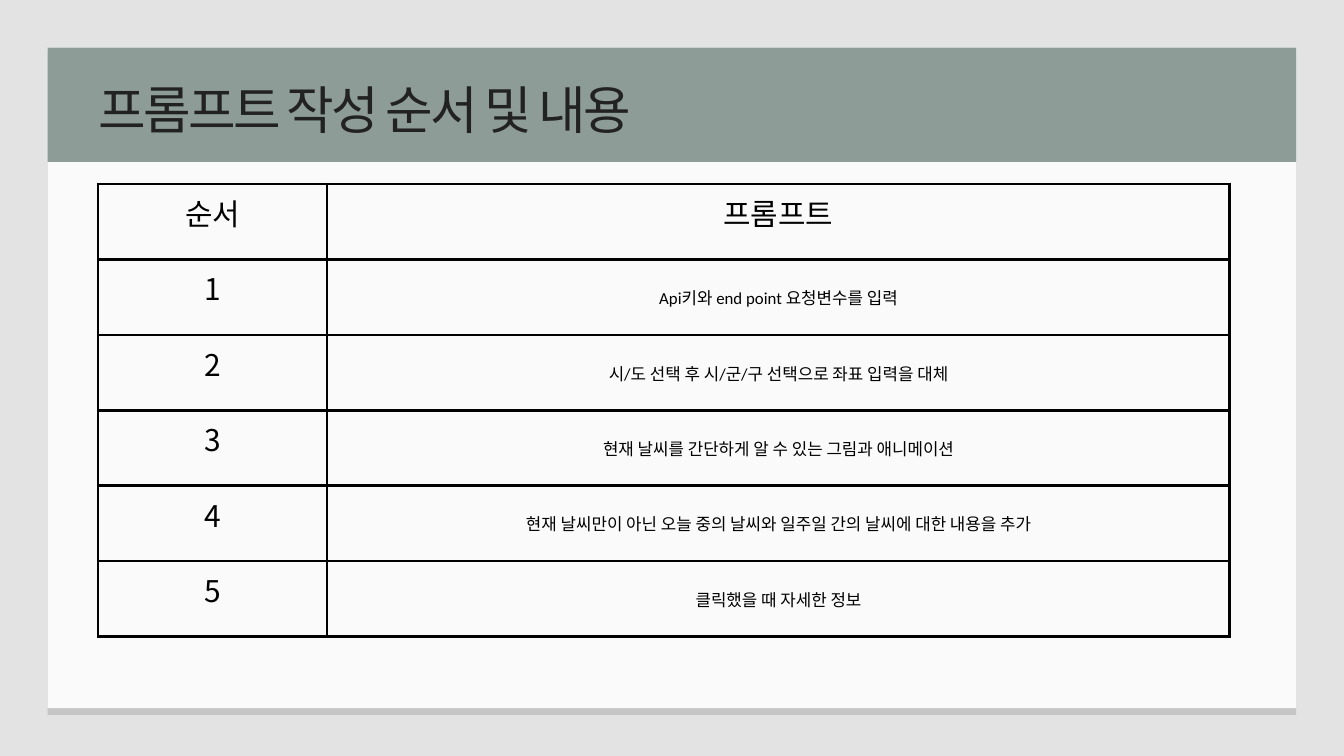
from lxml import etree
from pptx import Presentation
from pptx.dml.color import RGBColor
from pptx.enum.shapes import MSO_SHAPE as Shape
from pptx.enum.text import MSO_ANCHOR as Anchor, PP_ALIGN as Align
from pptx.oxml.ns import qn
from pptx.util import Inches, Pt

BACKDROP = RGBColor(0xE3, 0xE3, 0xE3)
EDGE = RGBColor(0xC5, 0xC5, 0xC5)
PAPER = RGBColor(0xFA, 0xFA, 0xFA)
SAGE = RGBColor(0x8D, 0x9C, 0x97)
INK = RGBColor(0x22, 0x22, 0x22)
BLACK = RGBColor(0, 0, 0)
KOREAN = "Noto Sans CJK KR"
LATIN = "Calibri"

TITLE = "프롬프트 작성 순서 및 내용"
HEADINGS = ("순서", "프롬프트")
PROMPTS = [
    ("Api키와 end point 요청변수를 입력", LATIN),
    ("시/도 선택 후 시/군/구 선택으로 좌표 입력을 대체", LATIN),
    ("현재 날씨를 간단하게 알 수 있는 그림과 애니메이션", KOREAN),
    ("현재 날씨만이 아닌 오늘 중의 날씨와 일주일 간의 날씨에 대한 내용을 추가", LATIN),
    ("클릭했을 때 자세한 정보", LATIN),
]


def add_panel(slide, left, top, width, height, color):
    """Place a plain filled rectangle."""
    shape = slide.shapes.add_shape(
        Shape.RECTANGLE, Inches(left), Inches(top), Inches(width), Inches(height))
    shape.shadow.inherit = False
    shape.fill.solid()
    shape.fill.fore_color.rgb = color
    shape.line.fill.background()


def write_text(paragraph, text, size, font_name, color, line_spacing, tracking=0):
    """Fill a paragraph with one run of styled text."""
    run = paragraph.add_run()
    run.text = text
    paragraph.line_spacing = Pt(line_spacing)
    paragraph.font.size = Pt(size)
    paragraph.font.name = font_name
    paragraph.font.color.rgb = color
    properties = run._r.get_or_add_rPr()
    etree.SubElement(properties, qn("a:ea"), typeface=KOREAN)
    if tracking:
        properties.set("spc", str(round(tracking * 100)))


def add_card(slide, left, top, width, height):
    """Draw the paper card, its lower edge and its header band."""
    add_panel(slide, left, top + 0.1, width, height, EDGE)
    add_panel(slide, left, top, width, height, PAPER)
    add_panel(slide, left, top, width, 1.7, SAGE)


def add_title(slide, left, top, width, height):
    """Write the slide title in the header band."""
    box = slide.shapes.add_textbox(
        Inches(left), Inches(top), Inches(width), Inches(height))
    frame = box.text_frame
    frame.word_wrap = True
    frame.margin_left = frame.margin_right = 0
    frame.margin_top = frame.margin_bottom = 0
    write_text(frame.paragraphs[0], TITLE, 55.4, KOREAN, INK, 77.6, -2.8)


def add_borders(cell):
    """Outline a cell on all four sides."""
    properties = cell._tc.get_or_add_tcPr()
    for side in ("lnL", "lnR", "lnT", "lnB"):
        line = etree.SubElement(properties, qn(f"a:{side}"), w=str(Pt(3)))
        fill = etree.SubElement(line, qn("a:solidFill"))
        etree.SubElement(fill, qn("a:srgbClr"), val=str(BLACK))


def fill_cell(cell, text, size, font_name):
    """Style one table cell and write its text."""
    add_borders(cell)
    cell.fill.background()
    cell.vertical_anchor = Anchor.MIDDLE
    cell.margin_left = cell.margin_right = Inches(0.21)
    cell.margin_top = cell.margin_bottom = Inches(0.21)
    paragraph = cell.text_frame.paragraphs[0]
    paragraph.alignment = Align.CENTER
    write_text(paragraph, text, size, font_name, BLACK, 26.6)


def add_prompt_table(slide, left, top, width, height):
    """Build the table of numbered prompts."""
    row_count = len(PROMPTS) + 1
    table = slide.shapes.add_table(
        row_count, 2, Inches(left), Inches(top), Inches(width), Inches(height)).table
    table.columns[0].width = Inches(3.41)
    table.columns[1].width = Inches(width - 3.41)
    for row in table.rows:
        row.height = Inches(height / row_count)
    for column, heading in enumerate(HEADINGS):
        fill_cell(table.cell(0, column), heading, 32, KOREAN)
    for number, (prompt, font_name) in enumerate(PROMPTS, start=1):
        fill_cell(table.cell(number, 0), str(number), 32, KOREAN)
        fill_cell(table.cell(number, 1), prompt, 18, font_name)


def main():
    """Build and save the presentation."""
    presentation = Presentation()
    presentation.slide_width = Inches(20)
    presentation.slide_height = Inches(11.25)
    slide = presentation.slides.add_slide(presentation.slide_layouts[6])
    slide.background.fill.solid()
    slide.background.fill.fore_color.rgb = BACKDROP
    add_card(slide, 0.71, 0.71, 18.58, 9.83)
    add_prompt_table(slide, 1.46, 2.74, 16.84, 6.73)
    add_title(slide, 1.46, 1.01, 10.98, 1.04)
    presentation.save("out.pptx")


if __name__ == "__main__":
    main()
